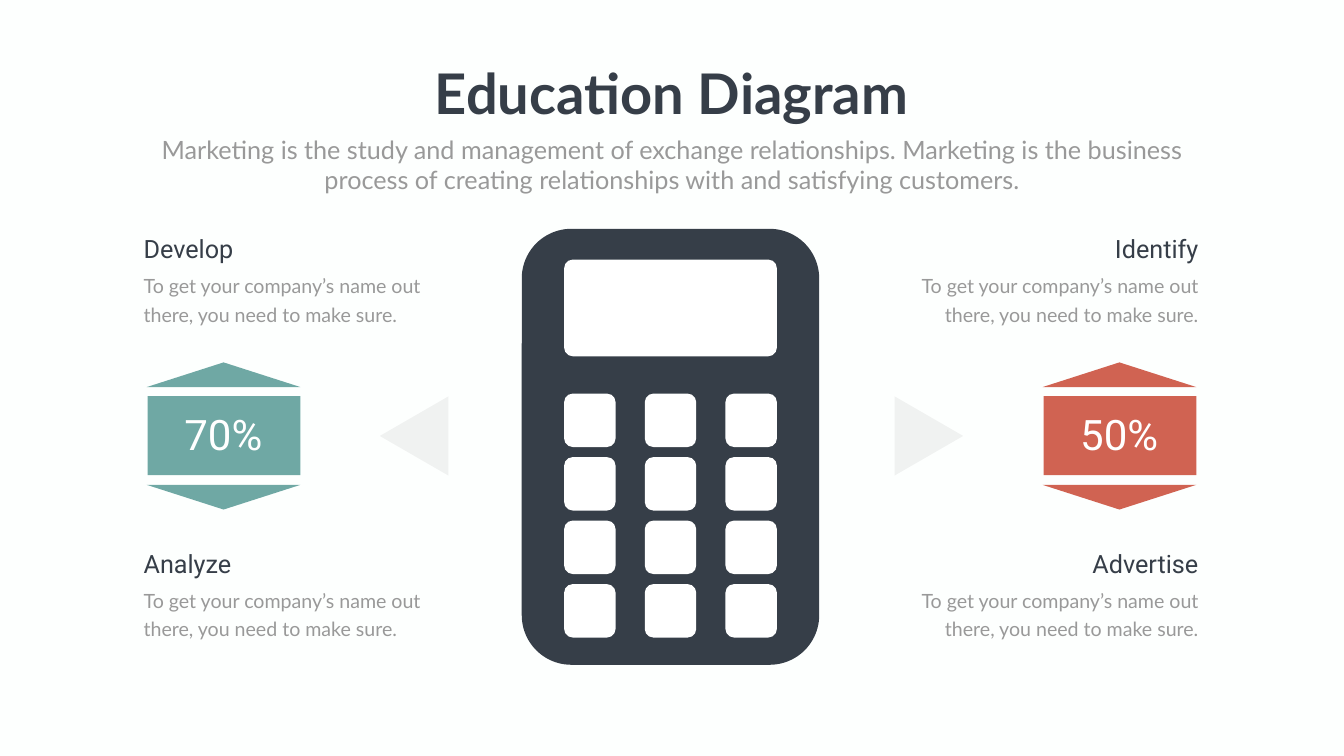
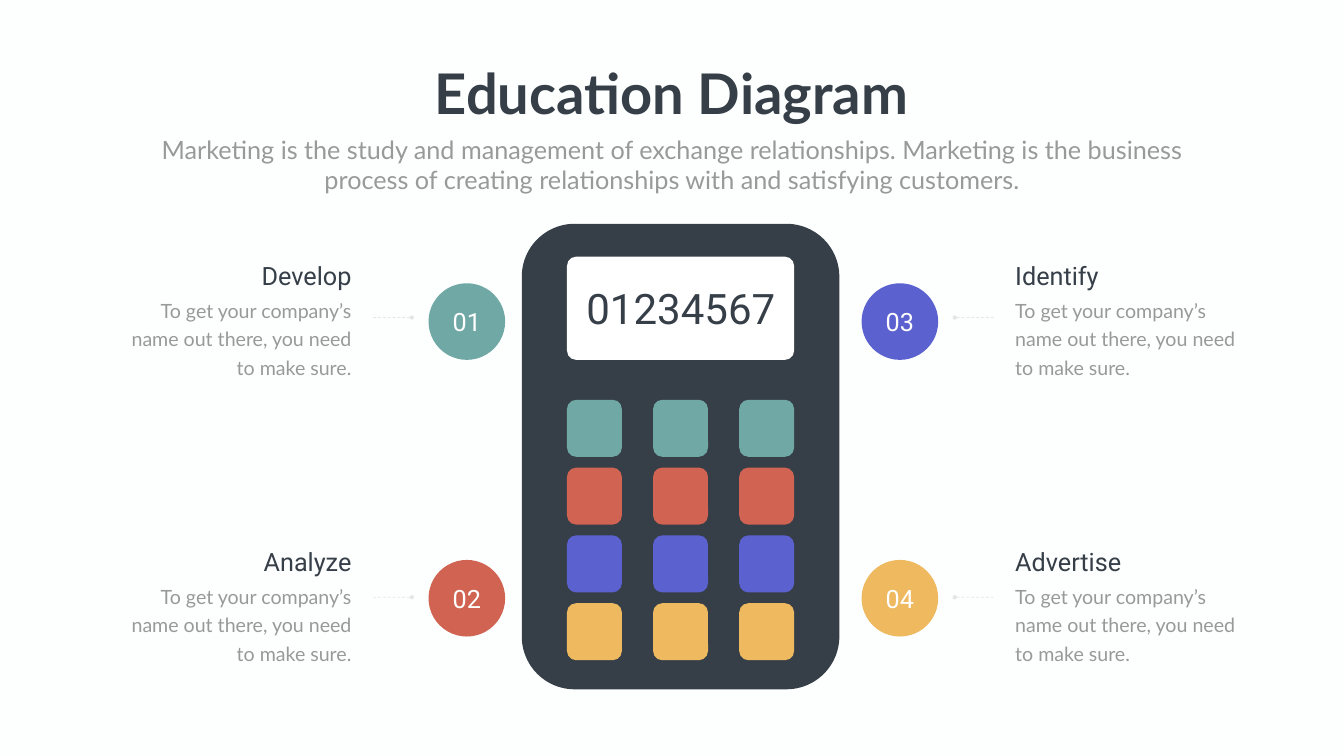
from lxml.etree import SubElement
from pptx import Presentation
from pptx.dml.color import RGBColor
from pptx.enum.dml import MSO_LINE
from pptx.enum.shapes import MSO_CONNECTOR, MSO_SHAPE
from pptx.enum.text import MSO_ANCHOR, MSO_AUTO_SIZE, PP_ALIGN
from pptx.oxml.ns import qn
from pptx.util import Inches, Pt

PAPER = RGBColor(0xFD, 0xFF, 0xFE)
WHITE = RGBColor(0xFF, 0xFF, 0xFF)
INK = RGBColor(0x36, 0x3E, 0x48)
TEXT_GRAY = RGBColor(0x99, 0x99, 0x99)
LINE_GRAY = RGBColor(0x80, 0x80, 0x80)
TEAL = RGBColor(0x6F, 0xA8, 0xA4)
RED = RGBColor(0xD0, 0x63, 0x52)
BLUE = RGBColor(0x5B, 0x62, 0xD0)
YELLOW = RGBColor(0xEE, 0xB9, 0x5F)
LEFT, CENTER, RIGHT = PP_ALIGN.LEFT, PP_ALIGN.CENTER, PP_ALIGN.RIGHT

TITLE = "Education Diagram"
SUBTITLE = (
    "Marketing is the study and management of exchange relationships. Marketing is the "
    "business process of creating relationships with and satisfying customers."
)
DETAIL = "To get your company’s name out there, you need to make sure."


def draw(page, kind, left, top, width, height, colour, rotation=0):
    shape = page.shapes.add_shape(kind, Inches(left), Inches(top), Inches(width), Inches(height))
    shape.shadow.inherit = False
    shape.fill.solid()
    shape.fill.fore_color.rgb = colour
    shape.line.fill.background()
    shape.rotation = rotation
    return shape


def write(page, left, top, width, height, text, size, colour, align, font="Roboto"):
    box = page.shapes.add_textbox(Inches(left), Inches(top), Inches(width), Inches(height))
    box.text_frame.word_wrap = True
    box.text_frame.auto_size = MSO_AUTO_SIZE.SHAPE_TO_FIT_TEXT
    para = box.text_frame.paragraphs[0]
    para.text = text
    para.alignment = align
    para.font.name = font
    para.font.size = Pt(size)
    para.font.color.rgb = colour
    return para


deck = Presentation()
deck.slide_width = Inches(26.66)
deck.slide_height = Inches(15)
deck.slide_master.background.fill.solid()
deck.slide_master.background.fill.fore_color.rgb = PAPER

calculators = [
    (4.54, 1, [WHITE] * 4),
    (4.44, 6.3 / 5.9, [TEAL, RED, BLUE, YELLOW]),
]
for top, scale, row_colours in calculators:
    page = deck.slides.add_slide(deck.slide_layouts[0])
    headers = [
        (page.shapes.title, (8.44, 1.12, 9.77, 1.45), TITLE, 80, INK, True),
        (page.placeholders[1], (2.92, 2.61, 20.82, 1.31), SUBTITLE, 36, TEXT_GRAY, False),
    ]
    for holder, place, text, size, colour, bold in headers:
        holder.left, holder.top, holder.width, holder.height = map(Inches, place)
        holder.text_frame.auto_size = MSO_AUTO_SIZE.NONE
        holder.text_frame.vertical_anchor = MSO_ANCHOR.TOP
        holder.text_frame.word_wrap = not bold
        para = holder.text_frame.paragraphs[0]
        para.text = text
        para.alignment = CENTER
        para.space_before = Pt(0)
        para.font.name = "Lato"
        para.font.size = Pt(size)
        para.font.bold = bold
        para.font.color.rgb = colour

    rounded = MSO_SHAPE.ROUNDED_RECTANGLE
    left = 10.35
    inner_left = left + 0.84 * scale
    draw(page, rounded, left, top, 5.9 * scale, 8.65 * scale, INK)
    screen = draw(page, rounded, inner_left, top + 0.61 * scale, 4.22 * scale, 1.92 * scale, WHITE)
    screen.adjustments[0] = 0.09
    for row, colour in enumerate(row_colours):
        for column in range(3):
            key_left = inner_left + 1.6 * column * scale
            key_top = top + (3.27 + 1.26 * row) * scale
            draw(page, rounded, key_left, key_top, 1.02 * scale, 1.06 * scale, colour)

percent_page, number_page = deck.slides

for left, rotation in [(7.43, 270), (17.64, 90)]:
    arrow = draw(percent_page, MSO_SHAPE.ISOSCELES_TRIANGLE, left, 7.97, 1.57, 1.36, LINE_GRAY, rotation)
    SubElement(arrow.element.spPr.find(".//" + qn("a:srgbClr")), qn("a:alpha"), val="10000")

for left, colour, percent in [(2.91, TEAL, "70%"), (20.68, RED, "50%")]:
    draw(percent_page, MSO_SHAPE.RECTANGLE, left + 0.02, 7.86, 3.03, 1.57, colour)
    for top, rotation in [(7.19, 0), (9.62, 180)]:
        draw(percent_page, MSO_SHAPE.ISOSCELES_TRIANGLE, left, top, 3.05, 0.49, colour, rotation)
    write(percent_page, left + 0.55, 8.06, 1.94, 1.11, percent, 60, WHITE, CENTER)

percent_columns = [
    (2.75, 2.75, LEFT, ["Develop", "Analyze"]),
    (18.14, 17.73, RIGHT, ["Identify", "Advertise"]),
]
for heading_left, detail_left, align, headings in percent_columns:
    for heading, top in zip(headings, [4.58, 10.82]):
        write(percent_page, heading_left, top, 5.73, 0.71, heading, 36, INK, align)
        detail = write(percent_page, detail_left, top + 0.71, 6.14, 1.19, DETAIL, 28, TEXT_GRAY, align, "Lato")
        detail.line_spacing = Pt(40.8)

write(number_page, 10.95, 5.55, 5.11, 1.11, "01234567", 60, INK, CENTER)

number_columns = [
    (8.5, 7.4, 8.17, 1.96, 2.41, RIGHT, [("01", "Develop", TEAL), ("02", "Analyze", RED)]),
    (17.09, 19.71, 18.94, 20.04, 20.04, LEFT, [("03", "Identify", BLUE), ("04", "Advertise", YELLOW)]),
]
number_rows = [(5.62, 6.3, 5.12), (11.11, 11.85, 10.79)]
for circle_left, start, end, heading_left, detail_left, align, items in number_columns:
    for (number, heading, colour), (circle_top, line_top, top) in zip(items, number_rows):
        draw(number_page, MSO_SHAPE.OVAL, circle_left, circle_top, 1.52, 1.52, colour)
        write(number_page, circle_left + 0.185, circle_top + 0.41, 1.15, 0.71, number, 36, WHITE, CENTER)
        pointer = number_page.shapes.add_connector(
            MSO_CONNECTOR.STRAIGHT, Inches(start), Inches(line_top), Inches(end), Inches(line_top)
        )
        pointer.line.color.rgb = LINE_GRAY
        pointer.line.width = Pt(1)
        pointer.line.dash_style = MSO_LINE.DASH
        properties = pointer.element.spPr
        SubElement(properties.find(".//" + qn("a:srgbClr")), qn("a:alpha"), val="20000")
        SubElement(properties.find(qn("a:ln")), qn("a:tailEnd"), type="oval")
        SubElement(properties, qn("a:effectLst"))
        write(number_page, heading_left, top, 5.11, 0.71, heading, 36, INK, align)
        detail = write(number_page, detail_left, top + 0.66, 4.66, 1.77, DETAIL, 28, TEXT_GRAY, align, "Lato")
        detail.line_spacing = Pt(40.8)

deck.save("out.pptx")
